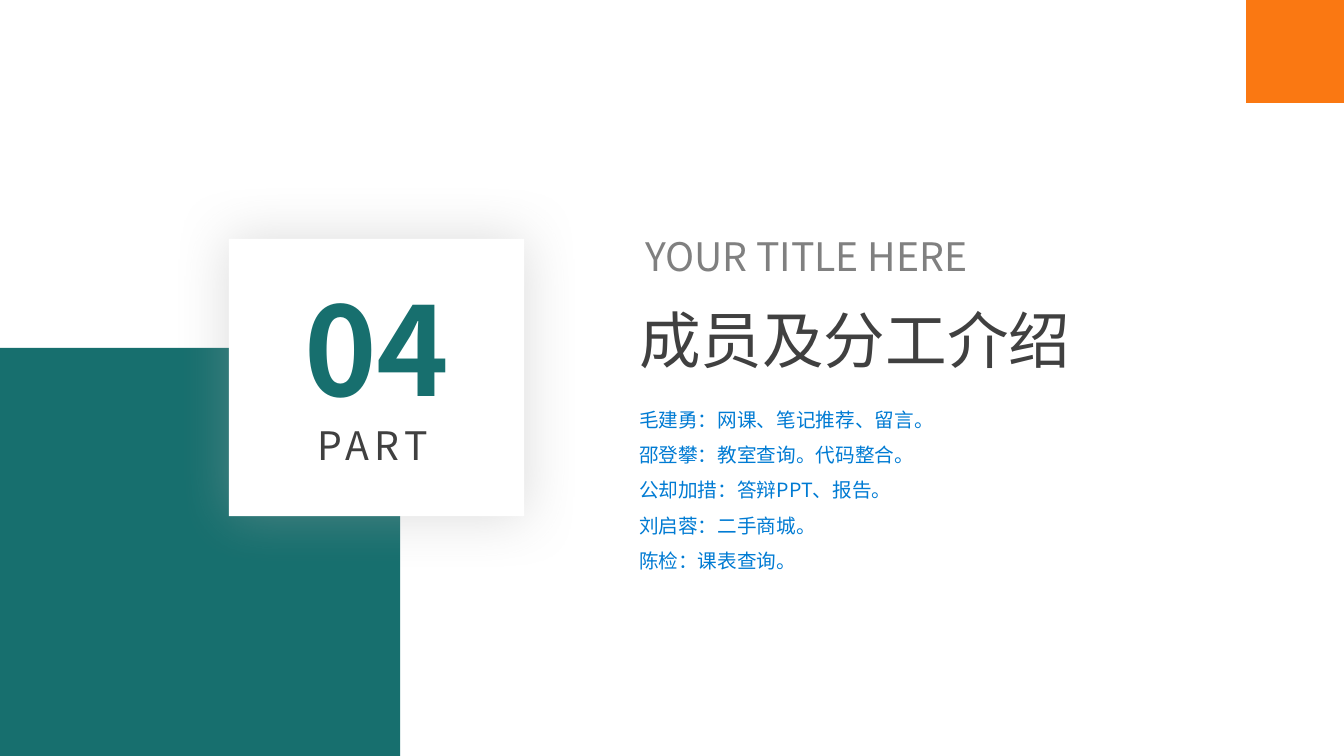
"""Build the section slide that introduces the members and their tasks."""
import pptx
import pptx.dml.color
import pptx.enum.shapes
import pptx.enum.text
import pptx.oxml.ns
import pptx.util
from lxml import etree
from pptx.util import Inches

COLORS = {"teal": "176F6E", "orange": "FA7812", "white": "FFFFFF", "shadow": "A6A6A6",
          "dark": "404040", "gray": "808080", "blue": "007BD3"}
SANS = "Noto Sans CJK SC"
TITLE_FONT = "Noto Sans CJK JP"
MEMBERS = ["毛建勇：网课、笔记推荐、留言。", "邵登攀：教室查询。代码整合。", "公却加措：答辩PPT、报告。",
           "刘启蓉：二手商城。", "陈检：课表查询。"]
qn = pptx.oxml.ns.qn


class Deck:
    def __init__(self, width, height):
        self.prs = pptx.Presentation()
        self.prs.slide_width, self.prs.slide_height = Inches(width), Inches(height)
        self.slide = self.prs.slides.add_slide(self.prs.slide_layouts[6])

    def color(self, name):
        return pptx.dml.color.RGBColor.from_string(COLORS[name])

    def rect(self, box, fill):
        sp = self.slide.shapes.add_shape(pptx.enum.shapes.MSO_SHAPE.RECTANGLE, *map(Inches, box))
        sp.shadow.inherit = False
        sp.fill.solid()
        sp.fill.fore_color.rgb = self.color(fill)
        sp.line.fill.background()
        return sp

    def glow(self, sp, blur, alpha):
        effects = sp._element.spPr.find(qn("a:effectLst"))
        shadow = etree.SubElement(effects, qn("a:outerShdw"), blurRad=str(pptx.util.Pt(blur)),
                                  dist="0", dir="0", algn="ctr", rotWithShape="0")
        clr = etree.SubElement(shadow, qn("a:srgbClr"), val=COLORS["shadow"])
        etree.SubElement(clr, qn("a:alpha"), val=str(alpha * 1000))

    def text(self, box, lines, size, color, font=SANS, bold=False, wrap=True, grow=True,
             spacing=None, para=None):
        sp = self.slide.shapes.add_textbox(*map(Inches, box))
        tf = sp.text_frame
        tf.word_wrap = wrap
        auto = pptx.enum.text.MSO_AUTO_SIZE
        tf.auto_size = auto.SHAPE_TO_FIT_TEXT if grow else auto.NONE
        for i, line in enumerate(lines):
            p = tf.add_paragraph() if i else tf.paragraphs[0]
            for key, value in (para or {}).items():
                setattr(p, key, value)
            r = p.add_run()
            r.text = line
            for key, value in {"size": pptx.util.Pt(size), "bold": bold, "name": font}.items():
                setattr(r.font, key, value)
            r.font.color.rgb = self.color(color)
            rPr = r._r.get_or_add_rPr()
            etree.SubElement(rPr, qn("a:ea"), typeface=font)
            if spacing:
                rPr.set("spc", str(spacing * 100))
        return sp


def main():
    deck = Deck(13.33, 7.5)
    justify = {"alignment": pptx.enum.text.PP_ALIGN.JUSTIFY}
    deck.rect((0, 3.45, 3.97, 4.05), "teal")
    card = deck.rect((2.27, 2.37, 2.93, 2.75), "white")
    deck.glow(card, blur=40, alpha=40)
    deck.rect((12.36, 0, 0.97, 1.02), "orange")
    deck.text((2.92, 2.66, 1.66, 1.58), ["04"], 88, "teal", bold=True, wrap=False)
    deck.text((3.05, 4.13, 1.49, 0.57), ["PART"], 28, "dark", spacing=4, para=justify)
    deck.text((6.24, 2.95, 5.02, 0.84), ["成员及分工介绍"], 44, "dark", font=TITLE_FONT)
    deck.text((6.3, 2.26, 3.67, 0.59), ["YOUR TITLE HERE"], 28, "gray", grow=False, para=justify)
    deck.text((6.24, 3.88, 5.35, 1.83), MEMBERS, 14, "blue", para={"line_spacing": 1.5})
    deck.prs.save("out.pptx")


if __name__ == "__main__":
    main()
